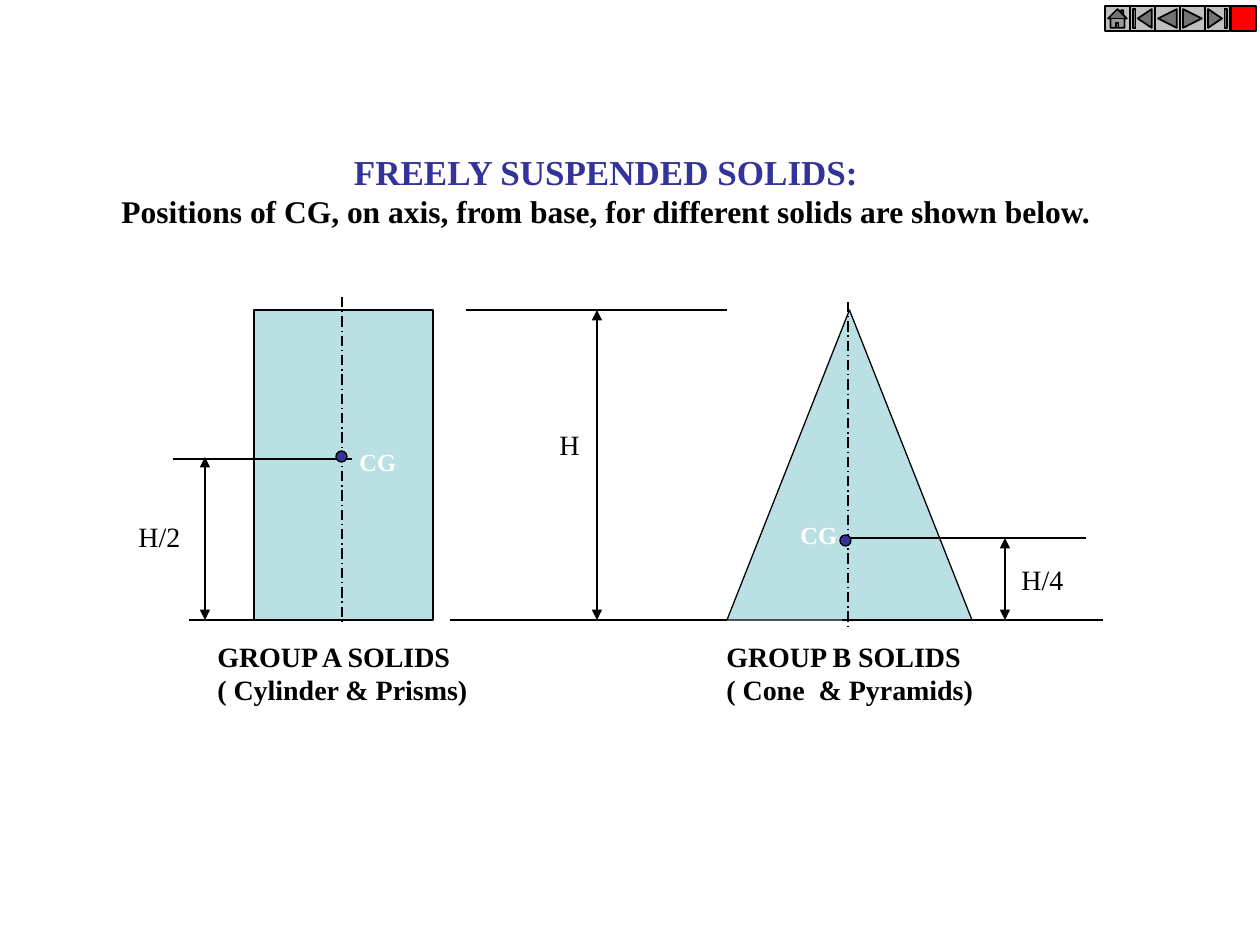
from pptx import Presentation
from pptx.dml.color import RGBColor
from pptx.enum.dml import MSO_LINE
from pptx.enum.shapes import MSO_CONNECTOR, MSO_SHAPE
from pptx.enum.text import MSO_AUTO_SIZE, PP_ALIGN
from pptx.oxml.ns import qn
from pptx.util import Pt
from lxml import etree

EMU_PER_PX = 914400 / 126
STRAIGHT = MSO_CONNECTOR.STRAIGHT
AXIS_DASH = MSO_LINE.LONG_DASH_DOT
LEFT, CENTER = PP_ALIGN.LEFT, PP_ALIGN.CENTER
RECTANGLE = MSO_SHAPE.RECTANGLE
TRIANGLE = MSO_SHAPE.ISOSCELES_TRIANGLE
OVAL = MSO_SHAPE.OVAL
NAVIGATION = (
    MSO_SHAPE.ACTION_BUTTON_HOME,
    MSO_SHAPE.ACTION_BUTTON_BEGINNING,
    MSO_SHAPE.ACTION_BUTTON_BACK_OR_PREVIOUS,
    MSO_SHAPE.ACTION_BUTTON_FORWARD_OR_NEXT,
    MSO_SHAPE.ACTION_BUTTON_END,
    MSO_SHAPE.ACTION_BUTTON_CUSTOM,
)

FONT = "Times New Roman"
BLACK, WHITE, NAVY = "000000", "FFFFFF", "333399"
SOLID_FILL, GREY, RED = "BBE0E3", "C0C0C0", "FF0000"

APEX_Y, BASE_Y = 310, 620
CG_A_Y, CG_B_Y = 459, 538


def px(length):
    return round(length * EMU_PER_PX)


def color(hex_code):
    return RGBColor.from_string(hex_code)


def add_outlined(slide, preset, left, top, width, height, fill, line_pt=0.75):
    shape = slide.shapes.add_shape(
        preset, px(left), px(top), px(width), px(height))
    shape.shadow.inherit = False
    shape.fill.solid()
    shape.fill.fore_color.rgb = color(fill)
    shape.line.color.rgb = color(BLACK)
    shape.line.width = Pt(line_pt)


def add_line(slide, x1, y1, x2, y2, dash=None, arrows=False):
    line = slide.shapes.add_connector(STRAIGHT, px(x1), px(y1), px(x2), px(y2))
    line.line.color.rgb = color(BLACK)
    line.line.width = Pt(0.75)
    if dash is not None:
        line.line.dash_style = dash
    properties = line._element.spPr
    if arrows:
        outline = properties.find(qn("a:ln"))
        for end in ("a:headEnd", "a:tailEnd"):
            etree.SubElement(outline, qn(end), type="triangle")
    etree.SubElement(properties, qn("a:effectLst"))


def add_text(slide, left, top, width, height, rows, align=LEFT, bold=False):
    """Add one paragraph for each (text, size, colour) row."""
    box = slide.shapes.add_textbox(px(left), px(top), px(width), px(height))
    frame = box.text_frame
    frame.word_wrap = False
    frame.auto_size = MSO_AUTO_SIZE.SHAPE_TO_FIT_TEXT
    for index, (text, size, hex_code) in enumerate(rows):
        paragraph = frame.add_paragraph() if index else frame.paragraphs[0]
        paragraph.text = text
        paragraph.alignment = align
        paragraph.font.name = FONT
        paragraph.font.size = Pt(size)
        paragraph.font.bold = bold
        paragraph.font.color.rgb = color(hex_code)


def add_navigation(slide):
    for index, button in enumerate(NAVIGATION):
        fill = RED if button == NAVIGATION[-1] else GREY
        add_outlined(slide, button, 1105 + 126 * index // 5, 6, 25, 25,
                     fill, line_pt=1)


def main():
    prs = Presentation()
    prs.slide_width, prs.slide_height = px(1260), px(945)
    slide = prs.slides.add_slide(prs.slide_layouts[6])

    add_text(slide, 107, 144, 998, 93, [
        ("FREELY SUSPENDED SOLIDS:", 20, NAVY),
        ("Positions of CG, on axis, from base, for different solids"
         " are shown below.", 18, BLACK),
    ], CENTER, bold=True)

    height = BASE_Y - APEX_Y
    add_outlined(slide, RECTANGLE, 254, APEX_Y, 179, height, SOLID_FILL)
    add_outlined(slide, TRIANGLE, 727, APEX_Y, 245, height, SOLID_FILL)

    for x, top, bottom in ((342, 297, 624), (848, 302, 629)):
        add_line(slide, x, top, x, bottom, dash=AXIS_DASH)

    for x1, x2, y in (
        (466, 727, APEX_Y), (450, 727, BASE_Y), (189, 271, BASE_Y),
        (173, 352, CG_A_Y), (842, 1086, CG_B_Y), (842, 1103, BASE_Y),
    ):
        add_line(slide, x1, y, x2, y)

    for x, top in ((597, APEX_Y), (1005, CG_B_Y), (205, CG_A_Y - 2)):
        add_line(slide, x, top, x, BASE_Y, arrows=True)

    for label, left, top, width in (
        ("H", 547, 421, 45), ("H/2", 126, 513, 67), ("H/4", 1009, 556, 67),
    ):
        add_text(slide, left, top, width, 47, [(label, 16, BLACK)])

    for group, members, left, width in (
        ("GROUP A SOLIDS", "( Cylinder & Prisms)", 205, 276),
        ("GROUP B SOLIDS", "( Cone  & Pyramids)", 714, 272),
    ):
        add_text(slide, left, 633, width, 81,
                 [(group, 16, BLACK), (members, 16, BLACK)], bold=True)

    for left, top in ((347, 441), (788, 514)):
        add_text(slide, left, top, 62, 43, [("CG", 14, WHITE)], bold=True)
    for left, top in ((336, 451), (840, 535)):
        add_outlined(slide, OVAL, left, top, 11, 11, NAVY)

    add_navigation(slide)
    prs.save("out.pptx")


if __name__ == "__main__":
    main()
